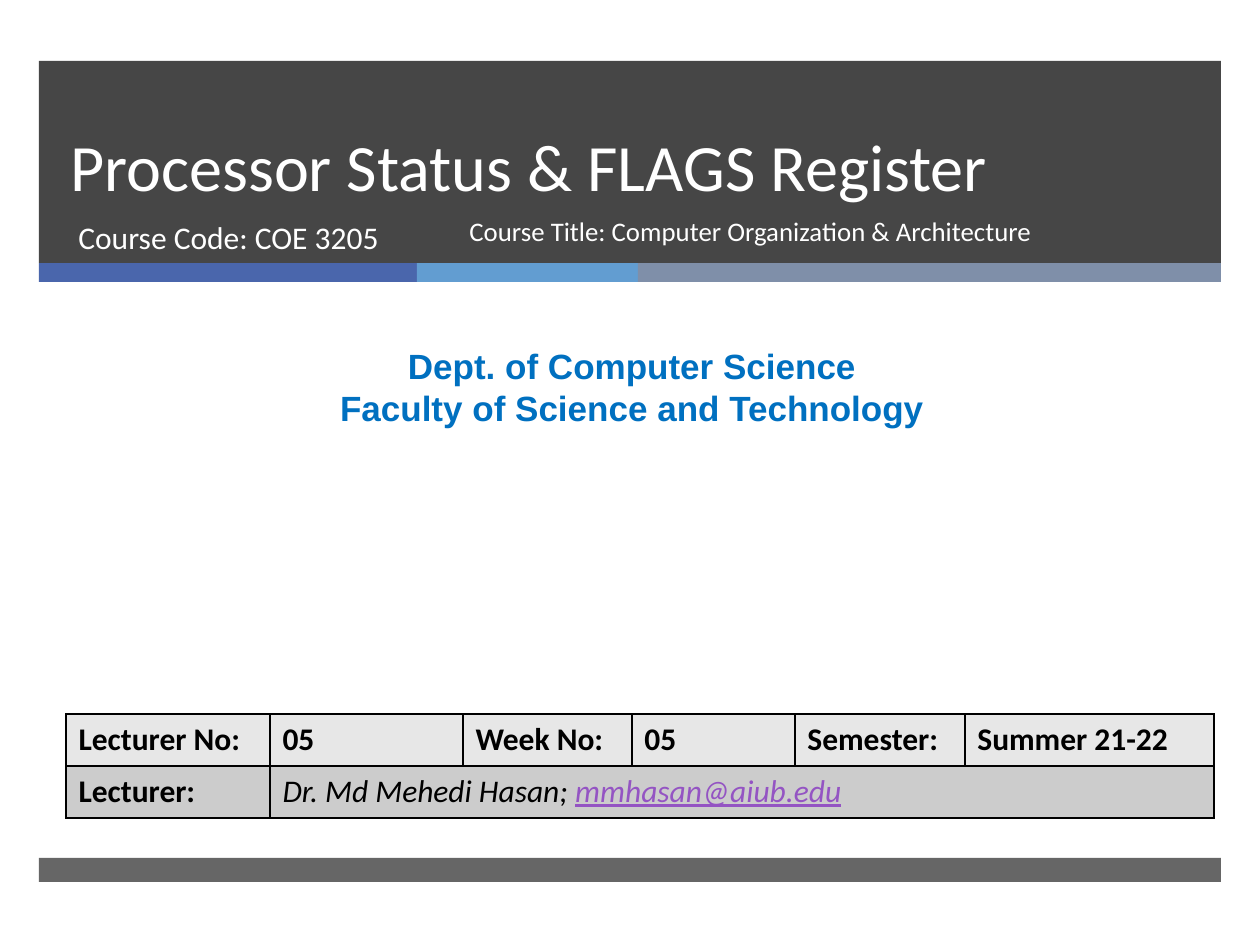
from dataclasses import dataclass

from lxml import etree
from pptx import Presentation, util as u
from pptx.dml.color import RGBColor
from pptx.enum import shapes, text
from pptx.oxml.ns import qn

PX = 914400 / 126


def px(length):
    return u.Emu(round(length * PX))


@dataclass(frozen=True)
class Theme:
    dark: str = "262626"
    accents: tuple = ("4A66AC", "629DD1", "7F8FA9")
    white: str = "FFFFFF"
    black: str = "000000"
    department: str = "0070C0"
    email: str = "9454C3"
    rows: tuple = ("E7E7E7", "CCCCCC")
    font: str = "Calibri"
    department_font: str = "Arial"
    title_size: float = 37.8
    body_size: float = 18
    course_size: float = 15.3
    department_size: float = 20


class SlideBuilder:
    def __init__(self, page, theme):
        self.page = page
        self.theme = theme

    def bar(self, left, top, width, height, color, opacity=100):
        box = self.page.shapes.add_shape(
            shapes.MSO_SHAPE.RECTANGLE, px(left), px(top), px(width), px(height))
        box.shadow.inherit = False
        box.line.fill.background()
        box.fill.solid()
        box.fill.fore_color.rgb = RGBColor.from_string(color)
        if opacity < 100:
            color_node = box.fill._xPr.find(qn("a:solidFill"))[0]
            etree.SubElement(color_node, qn("a:alpha"), val=str(opacity * 1000))

    def span(self, para, words, size, color, font=None, bold=False,
             italic=False, underline=False):
        span = para.add_run()
        span.text = words
        span.font.name = font or self.theme.font
        span.font.size = u.Pt(size)
        span.font.color.rgb = RGBColor.from_string(color)
        span.font.bold = bold
        span.font.italic = italic
        span.font.underline = underline

    def text_box(self, left, top, width, height, lines, size, color, font=None,
                 bold=False, align=text.PP_ALIGN.LEFT,
                 anchor=text.MSO_ANCHOR.TOP, spacing=None):
        box = self.page.shapes.add_textbox(px(left), px(top), px(width), px(height))
        frame = box.text_frame
        frame.word_wrap = True
        frame.vertical_anchor = anchor
        for index, words in enumerate(lines):
            para = frame.add_paragraph() if index else frame.paragraphs[0]
            para.alignment = align
            para.line_spacing = spacing
            self.span(para, words, size, color, font, bold)

    def borders(self, cell):
        props = cell._tc.get_or_add_tcPr()
        for index, side in enumerate(("lnL", "lnR", "lnT", "lnB")):
            line = etree.Element(qn(f"a:{side}"), w=str(u.Pt(1)))
            fill = etree.SubElement(line, qn("a:solidFill"))
            etree.SubElement(fill, qn("a:srgbClr"), val=self.theme.black)
            props.insert(index, line)

    def table(self, left, top, widths, row_height, rows):
        """Each cell is a list of (words, style) pairs; the last cell of a
        short row spans the remaining columns."""
        table = self.page.shapes.add_table(
            len(rows), len(widths), px(left), px(top),
            px(sum(widths)), px(row_height * len(rows))).table
        for column, width in zip(table.columns, widths):
            column.width = px(width)
        for r, cells in enumerate(rows):
            table.rows[r].height = px(row_height)
            for cell in table.rows[r].cells:
                cell.fill.solid()
                cell.fill.fore_color.rgb = RGBColor.from_string(self.theme.rows[r])
                self.borders(cell)
            if len(cells) < len(widths):
                table.cell(r, len(cells) - 1).merge(table.cell(r, len(widths) - 1))
            for c, spans in enumerate(cells):
                para = table.cell(r, c).text_frame.paragraphs[0]
                for words, style in spans:
                    look = {"color": self.theme.black, **style}
                    self.span(para, words, self.theme.body_size, **look)


def main():
    theme = Theme()
    deck = Presentation()
    deck.slide_width, deck.slide_height = u.Inches(10), u.Inches(7.5)
    slide = SlideBuilder(deck.slides.add_slide(deck.slide_layouts[6]), theme)

    left = 39
    stripes = (378, 221, 583)
    slide.bar(left, 61, sum(stripes), 202, theme.dark, 85)
    stripe_left = left
    for width, color in zip(stripes, theme.accents):
        slide.bar(stripe_left, 263, width, 19, color)
        stripe_left += width
    slide.bar(left, 858, sum(stripes), 24, theme.dark, 70)

    slide.text_box(58, 61, 1076, 150, ["Processor Status & FLAGS Register"],
                   theme.title_size, theme.white,
                   anchor=text.MSO_ANCHOR.BOTTOM, spacing=u.Pt(46))
    slide.text_box(66, 212, 384, 67, ["Course Code: COE 3205"],
                   theme.body_size, theme.white)
    slide.text_box(10, 338, 1244, 97,
                   ["Dept. of Computer Science", "Faculty of Science and Technology"],
                   theme.department_size, theme.department, theme.department_font,
                   bold=True, align=text.PP_ALIGN.CENTER)

    bold = {"bold": True}
    labels = ("Lecturer No:", "05", "Week No:", "05", "Semester:", "Summer 21-22")
    lecturer = [
        ("Dr. Md Mehedi Hasan; ", {"italic": True}),
        ("mmhasan@aiub.edu",
         {"italic": True, "underline": True, "color": theme.email}),
    ]
    slide.table(66, 714, (204, 193, 169, 163, 170, 249), 52, [
        [[(label, bold)] for label in labels],
        [[("Lecturer:", bold)], lecturer],
    ])
    slide.text_box(457, 212, 591, 67,
                   ["Course Title: Computer Organization & Architecture"],
                   theme.course_size, theme.white, spacing=0.9)
    deck.save("out.pptx")


if __name__ == "__main__":
    main()
